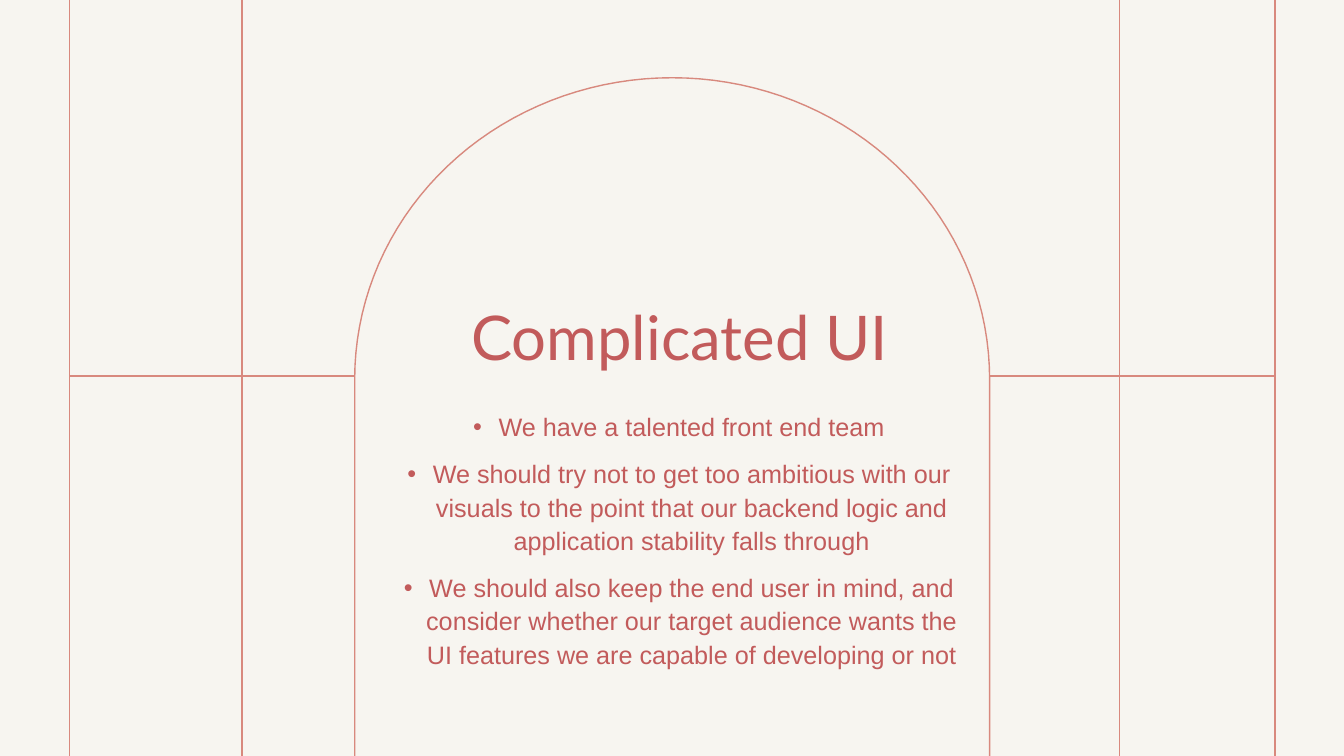
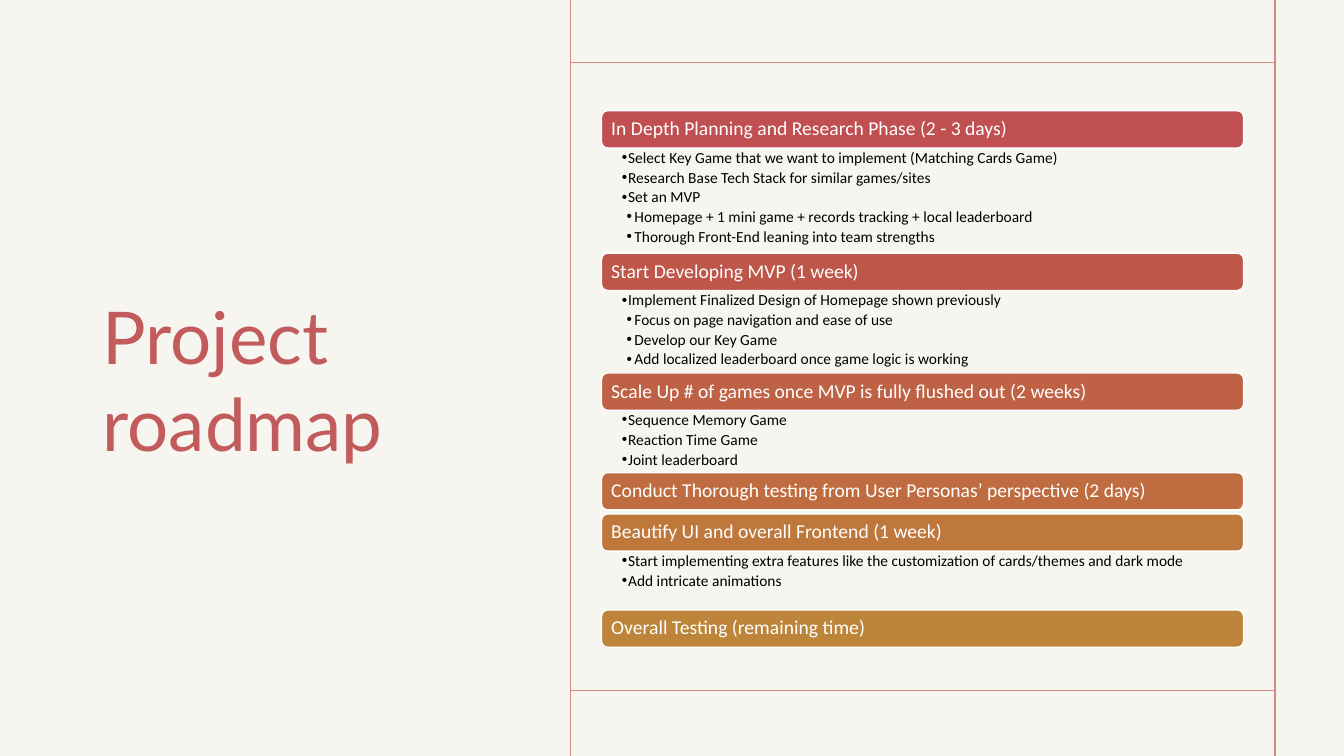
from dataclasses import dataclass
from math import cos, pi, sin

from lxml.etree import SubElement
from pptx import Presentation
from pptx.dml.color import RGBColor
from pptx.enum.shapes import MSO_CONNECTOR, MSO_SHAPE
from pptx.enum.text import MSO_ANCHOR as Anchor, MSO_AUTO_SIZE, PP_ALIGN as Align
from pptx.oxml.ns import qn
from pptx.util import Cm, Pt


@dataclass(frozen=True)
class Theme:
    paper: str = "F7F5F0"
    rule: str = "D8897E"
    rose: str = "C25B5B"
    black: str = "000000"
    white: str = "FFFFFF"
    title_font: str = "Lato"
    body_font: str = "Arial"
    roadmap_font: str = "Calibri"
    title_size: int = 44
    big_title_size: int = 52
    body_size: int = 18
    phase_size: int = 14
    task_size: int = 11
    line_width: int = 1


THEME = Theme()
WIDTH, HEIGHT = 33.87, 19.05
FRAME_LEFT, FRAME_RIGHT = 1.75, 32.13
TEXT_INSETS = (0.25, 0.13, 0.25, 0.13)

UI_TITLE = "Complicated UI"
UI_POINTS = [
    "We have a talented front end team",
    "We should try not to get too ambitious with our visuals to the point that "
    "our backend logic and application stability falls through",
    "We should also keep the end user in mind, and consider whether our target "
    "audience wants the UI features we are capable of developing or not",
]

ROADMAP_TITLE = "Project roadmap"
PHASES = [
    ("In Depth Planning and Research Phase (2 - 3 days)", "BF4F50", 2.65, [
        (1, "Select Key Game that we want to implement (Matching Cards Game)"),
        (1, "Research Base Tech Stack for similar games/sites"),
        (1, "Set an MVP"),
        (2, "Homepage + 1 mini game + records tracking + local leaderboard"),
        (2, "Thorough Front-End leaning into team strengths"),
    ]),
    ("Start Developing MVP (1 week)", "BE564A", 2.08, [
        (1, "Implement Finalized Design of Homepage shown previously"),
        (2, "Focus on page navigation and ease of use"),
        (2, "Develop our Key Game"),
        (2, "Add localized leaderboard once game logic is working"),
    ]),
    ("Scale Up # of games once MVP is fully flushed out (2 weeks)", "BF6145", 1.57, [
        (1, "Sequence Memory Game"),
        (1, "Reaction Time Game"),
        (1, "Joint leaderboard"),
    ]),
    ("Conduct Thorough testing from User Personas’ perspective (2 days)", "BF6C40", 0.1, []),
    ("Beautify UI and overall Frontend (1 week)", "BE783C", 1.48, [
        (1, "Start implementing extra features like the customization of "
            "cards/themes and dark mode"),
        (1, "Add intricate animations"),
    ]),
    ("Overall Testing (remaining time)", "BC853A", 0, []),
]


def colour(value):
    return RGBColor.from_string(value)


def set_outline(line, value):
    line.color.rgb = colour(value)
    line.width = Pt(THEME.line_width)


def set_frame(frame, insets, anchor):
    frame.word_wrap = True
    frame.auto_size = MSO_AUTO_SIZE.NONE
    frame.vertical_anchor = anchor
    (frame.margin_left, frame.margin_top,
     frame.margin_right, frame.margin_bottom) = map(Cm, insets)


def write(paragraph, text, font, size, value, align=Align.LEFT, spacing=1.0):
    paragraph.alignment = align
    paragraph.line_spacing = spacing
    run = paragraph.add_run()
    run.text = text
    run.font.name = font
    run.font.size = Pt(size)
    run.font.color.rgb = colour(value)


def set_bullet(paragraph, margin, indent):
    properties = paragraph._p.get_or_add_pPr()
    properties.set("marL", str(Cm(margin)))
    properties.set("indent", str(Cm(indent)))
    SubElement(properties, qn("a:buFont")).set("typeface", THEME.body_font)
    SubElement(properties, qn("a:buChar")).set("char", "•")


def add_bullets(slide, box, insets, items, gap, **style):
    frame = slide.shapes.add_textbox(*map(Cm, box)).text_frame
    set_frame(frame, insets, Anchor.TOP)
    for index, (level, margin, indent, text) in enumerate(items):
        paragraph = frame.add_paragraph() if index else frame.paragraphs[0]
        paragraph.level = level
        write(paragraph, text, **style)
        paragraph.space_before = Pt(gap if index else 0)
        set_bullet(paragraph, margin, indent)


def add_rule(slide, x1, y1, x2, y2):
    rule = slide.shapes.add_connector(MSO_CONNECTOR.STRAIGHT, *map(Cm, (x1, y1, x2, y2)))
    set_outline(rule.line, THEME.rule)
    SubElement(rule._element.spPr, qn("a:effectLst"))


def add_titled_slide(deck, text, box, size, align, anchor):
    slide = deck.slides.add_slide(deck.slide_layouts[5])
    title = slide.shapes.title
    title.left, title.top, title.width, title.height = map(Cm, box)
    set_frame(title.text_frame, TEXT_INSETS, anchor)
    write(title.text_frame.paragraphs[0], text, THEME.title_font, size, THEME.rose, align)
    return slide


def add_arch(slide, left, right, top, spring):
    centre, radius, rise, steps = (left + right) / 2, (right - left) / 2, spring - top, 72
    curve = [(centre - radius * cos(pi * i / steps), spring - rise * sin(pi * i / steps))
             for i in range(steps + 1)]
    outline = slide.shapes.build_freeform(Cm(left), Cm(HEIGHT))
    outline.add_line_segments([(Cm(x), Cm(y)) for x, y in curve + [(right, HEIGHT)]],
                              close=False)
    arch = outline.convert_to_shape()
    arch.shadow.inherit = False
    arch.fill.background()
    set_outline(arch.line, THEME.rule)


def build_ui_slide(deck):
    slide = add_titled_slide(deck, UI_TITLE, (9.75, 5.23, 14.76, 4.29),
                             THEME.title_size, Align.CENTER, Anchor.BOTTOM)
    arch_left, arch_right, crossbar = 8.94, 24.94, 9.47
    for x in (FRAME_LEFT, 6.1, 28.22, FRAME_RIGHT):
        add_rule(slide, x, 0, x, HEIGHT)
    for start, end in ((FRAME_LEFT, arch_left), (arch_right, FRAME_RIGHT)):
        add_rule(slide, start, crossbar, end, crossbar)
    add_arch(slide, arch_left, arch_right, 1.96, 9.55)
    add_bullets(slide, (9.73, 10.16, 14.76, 7.24), TEXT_INSETS,
                [(0, 0.64, -0.64, point) for point in UI_POINTS], 10,
                font=THEME.body_font, size=THEME.body_size, value=THEME.rose,
                align=Align.CENTER, spacing=1.1)


def add_phase_bar(slide, box, text, fill):
    bar = slide.shapes.add_shape(MSO_SHAPE.ROUNDED_RECTANGLE, *map(Cm, box))
    bar.shadow.inherit = False
    bar.fill.solid()
    bar.fill.fore_color.rgb = colour(fill)
    set_outline(bar.line, THEME.white)
    set_frame(bar.text_frame, (0.2, 0, 0.2, 0), Anchor.MIDDLE)
    write(bar.text_frame.paragraphs[0], text, THEME.roadmap_font,
          THEME.phase_size, THEME.white, spacing=0.9)


def build_roadmap_slide(deck):
    slide = add_titled_slide(deck, ROADMAP_TITLE, (2.34, 1.63, 11.33, 15.82),
                             THEME.big_title_size, Align.LEFT, Anchor.MIDDLE)
    panel_left = 14.38
    for y in (1.57, 17.4):
        add_rule(slide, panel_left, y, FRAME_RIGHT, y)
    for x in (panel_left, FRAME_RIGHT):
        add_rule(slide, x, 0, x, HEIGHT)

    left, top, width, bar_height = 15.16, 2.79, 16.18, 0.94
    for phase, fill, room, tasks in PHASES:
        add_phase_bar(slide, (left, top, width, bar_height), phase, fill)
        top += bar_height
        if tasks:
            add_bullets(slide, (left, top, width, room), (0.51, 0.05, 0.28, 0.05),
                        [(level, 0.16 * level, -0.2, task) for level, task in tasks], 2.2,
                        font=THEME.roadmap_font, size=THEME.task_size,
                        value=THEME.black, spacing=0.9)
        top += room


def main():
    deck = Presentation()
    deck.slide_width, deck.slide_height = Cm(WIDTH), Cm(HEIGHT)
    backdrop = deck.slide_master.background.fill
    backdrop.solid()
    backdrop.fore_color.rgb = colour(THEME.paper)
    build_ui_slide(deck)
    build_roadmap_slide(deck)
    deck.save("out.pptx")


if __name__ == "__main__":
    main()
